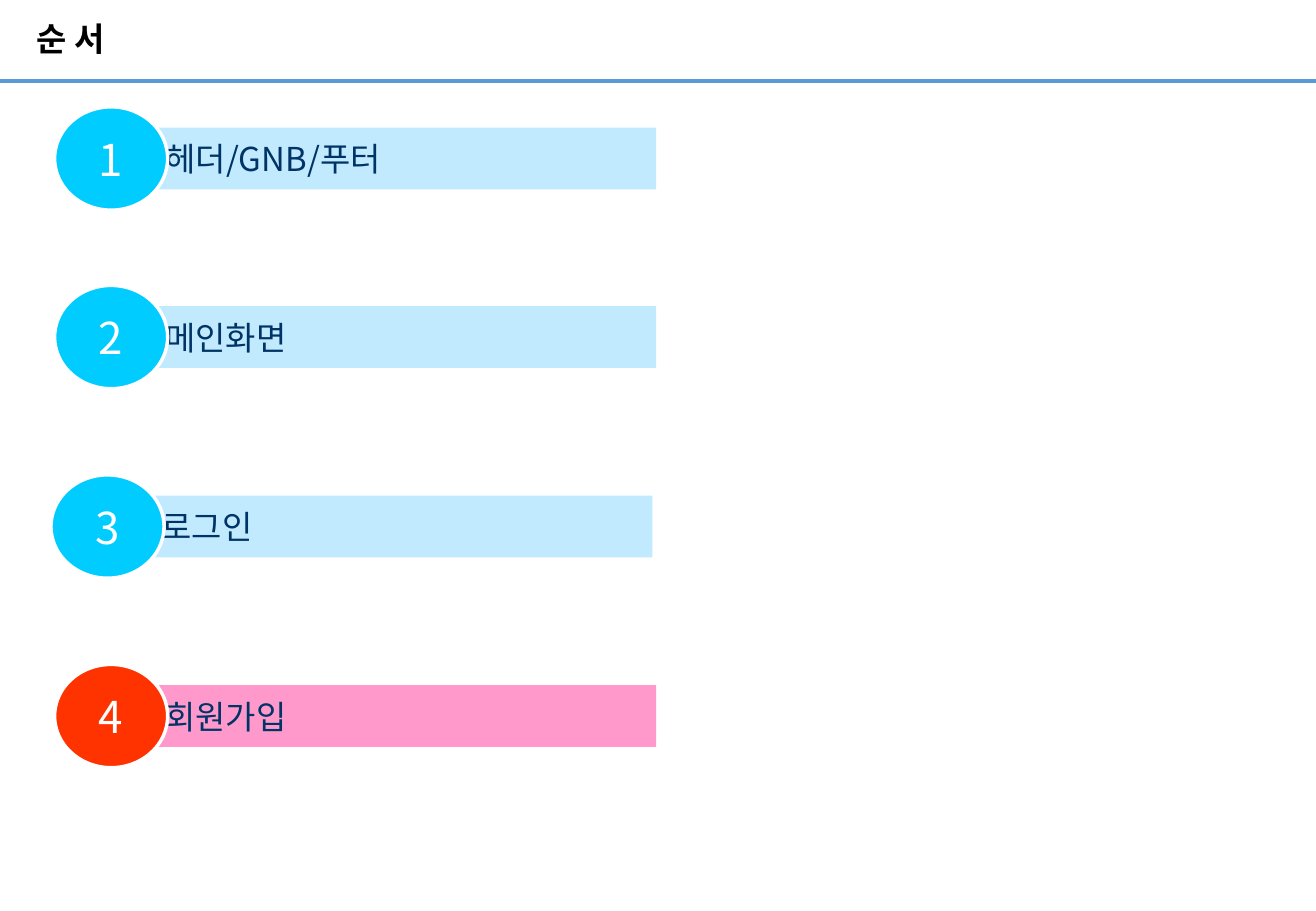
from lxml import etree
from pptx import Presentation
from pptx.dml.color import RGBColor
from pptx.enum.shapes import MSO_CONNECTOR, MSO_SHAPE
from pptx.enum.text import MSO_ANCHOR, MSO_AUTO_SIZE, PP_ALIGN
from pptx.oxml.ns import qn
from pptx.util import Inches, Pt

RECT, OVAL = MSO_SHAPE.RECTANGLE, MSO_SHAPE.OVAL
LEFT, CENTER = PP_ALIGN.LEFT, PP_ALIGN.CENTER
KOREAN = "Noto Sans CJK KR"
WIDTH, HEIGHT = 10.83, 7.5
BAR_W, BAR_H = 4.58, 0.51
BADGE_W, BADGE_H = 0.93, 0.85


def color(hex_string):
    return RGBColor.from_string(hex_string)


def write(shape, text, size, ink, font=KOREAN, bold=False, align=LEFT, indent=0):
    frame = shape.text_frame
    frame.word_wrap = True
    frame.auto_size = MSO_AUTO_SIZE.NONE
    frame.vertical_anchor = MSO_ANCHOR.MIDDLE
    frame.margin_left = Inches(indent)
    frame.margin_right = frame.margin_top = frame.margin_bottom = 0
    paragraph = frame.paragraphs[0]
    paragraph.alignment = align
    run = paragraph.add_run()
    run.text = text
    run.font.size, run.font.bold, run.font.name = Pt(size), bold, font
    run.font.color.rgb = color(ink)
    etree.SubElement(run.font._element, qn("a:ea"), typeface=KOREAN)


prs = Presentation()
prs.slide_width, prs.slide_height = Inches(WIDTH), Inches(HEIGHT)
slide = prs.slides.add_slide(prs.slide_layouts[5])

# Title and the rule under it
title = slide.shapes.title
title.left, title.top = Inches(0.3), 0
title.width, title.height = Inches(7.09), Inches(0.68)
write(title, "순 서", 19.5, "000000", font="Arial", bold=True)
title.text_frame.paragraphs[0].line_spacing = 0.9

rule = slide.shapes.add_connector(
    MSO_CONNECTOR.STRAIGHT, 0, Inches(0.67), Inches(WIDTH), Inches(0.67))
rule.line.color.rgb = color("5B9BD5")
rule.line.width = Pt(2.25)
etree.SubElement(rule._element.spPr, qn("a:effectLst"))

# Agenda: a numbered badge over the left end of each bar
agenda = [
    ("헤더/GNB/푸터", 0.45, 0.88, "C1EAFF", "00CCFF"),
    ("메인화면", 0.45, 2.35, "C1EAFF", "00CCFF"),
    ("로그인", 0.42, 3.91, "C1EAFF", "00CCFF"),
    ("회원가입", 0.45, 5.47, "FF99CC", "FF3300"),
]
for number, (topic, left, top, bar_fill, badge_fill) in enumerate(agenda, 1):
    bar = slide.shapes.add_shape(
        RECT, Inches(left + 0.37), Inches(top + (BADGE_H - BAR_H) / 2),
        Inches(BAR_W), Inches(BAR_H))
    bar.line.fill.background()
    write(bar, topic, 19.5, "003366", indent=0.54)

    badge = slide.shapes.add_shape(
        OVAL, Inches(left), Inches(top), Inches(BADGE_W), Inches(BADGE_H))
    badge.line.color.rgb = color("FFFFFF")
    badge.line.width = Pt(2)
    write(badge, str(number), 26, "FFFFFF", align=CENTER)

    for part, fill in ((bar, bar_fill), (badge, badge_fill)):
        part.fill.solid()
        part.fill.fore_color.rgb = color(fill)
        part.shadow.inherit = False

prs.save("out.pptx")
